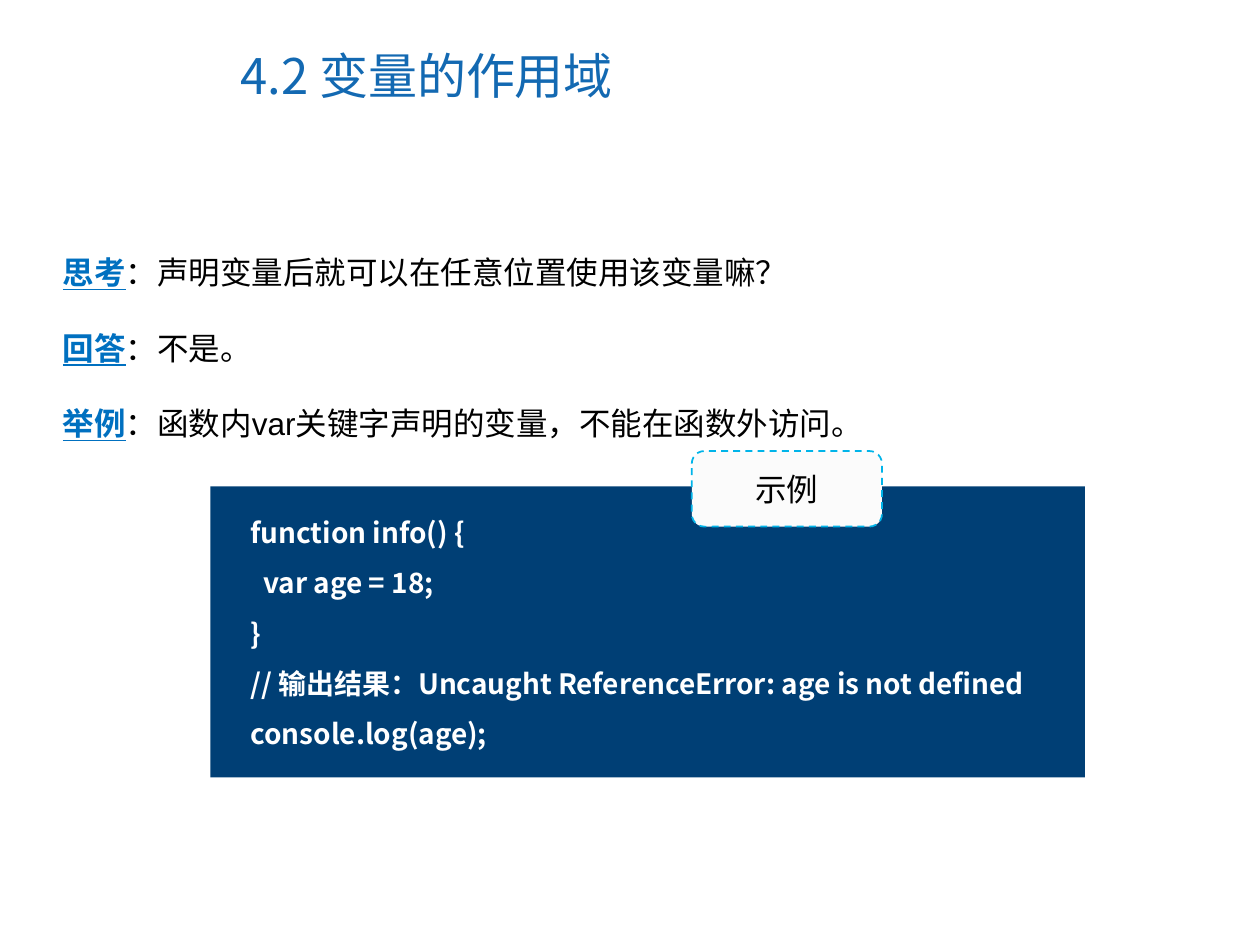
from dataclasses import dataclass

from lxml.etree import SubElement
from pptx import Presentation
from pptx.dml.color import RGBColor
from pptx.enum.dml import MSO_LINE_DASH_STYLE as Dash
from pptx.enum.shapes import MSO_SHAPE as Preset
from pptx.enum.text import MSO_ANCHOR as Anchor, PP_ALIGN as Align
from pptx.oxml.ns import qn
from pptx.util import Inches, Pt


@dataclass(frozen=True)
class Theme:
    title: str = "1369B2"
    keyword: str = "0070C0"
    ink: str = "000000"
    panel: str = "003F75"
    code: str = "FFFFFF"
    tag_fill: str = "FBFBFB"
    tag_line: str = "00B4E9"
    latin: str = "Arial"
    chinese: str = "Noto Sans CJK SC"
    title_size: int = 28
    body_size: int = 18
    code_size: int = 16


@dataclass(frozen=True)
class Box:
    left: float
    top: float
    width: float
    height: float

    def lengths(self) -> tuple:
        return tuple(map(Inches, (self.left, self.top, self.width, self.height)))


@dataclass(frozen=True)
class Point:
    keyword: str
    statement: str


THEME = Theme()

TITLE = "4.2 变量的作用域"
POINTS = (
    Point("思考", "：声明变量后就可以在任意位置使用该变量嘛？"),
    Point("回答", "：不是。"),
    Point("举例", "：函数内var关键字声明的变量，不能在函数外访问。"),
)
CODE = """function info() {
  var age = 18;
}
// 输出结果：Uncaught ReferenceError: age is not defined
console.log(age);"""


def style_run(run, size: int, color: str, latin: str, bold: bool = False, underline: bool = False) -> None:
    font = run.font
    font.size = Pt(size)
    font.bold = bold
    font.underline = underline
    font.color.rgb = RGBColor.from_string(color)
    font.name = latin
    SubElement(run._r.get_or_add_rPr(), qn("a:ea"), typeface=THEME.chinese)


def add_text_frame(slide, box: Box):
    frame = slide.shapes.add_textbox(*box.lengths()).text_frame
    frame.word_wrap = True
    return frame


def add_panel(slide, preset: Preset, box: Box, fill: str):
    panel = slide.shapes.add_shape(preset, *box.lengths())
    panel.shadow.inherit = False
    panel.fill.solid()
    panel.fill.fore_color.rgb = RGBColor.from_string(fill)
    panel.line.fill.background()
    return panel


def add_title(slide, box: Box) -> None:
    frame = add_text_frame(slide, box)
    frame.vertical_anchor = Anchor.MIDDLE
    frame.text = TITLE
    style_run(frame.paragraphs[0].runs[0], THEME.title_size, THEME.title, THEME.chinese)


def add_points(slide, box: Box) -> None:
    frame = add_text_frame(slide, box)
    frame.text = "\n".join(point.keyword for point in POINTS)
    for paragraph, point in zip(frame.paragraphs, POINTS):
        paragraph.line_spacing = 2.0
        style_run(paragraph.runs[0], THEME.body_size, THEME.keyword, THEME.latin, bold=True, underline=True)
        statement = paragraph.add_run()
        statement.text = point.statement
        style_run(statement, THEME.body_size, THEME.ink, THEME.latin)


def add_code(slide, panel_box: Box, code_box: Box) -> None:
    add_panel(slide, Preset.RECTANGLE, panel_box, THEME.panel)
    frame = add_text_frame(slide, code_box)
    frame.text = CODE
    for paragraph in frame.paragraphs:
        paragraph.line_spacing = 1.5
        style_run(paragraph.runs[0], THEME.code_size, THEME.code, THEME.chinese, bold=True)


def add_example_tag(slide, box: Box) -> None:
    tag = add_panel(slide, Preset.ROUNDED_RECTANGLE, box, THEME.tag_fill)
    tag.line.color.rgb = RGBColor.from_string(THEME.tag_line)
    tag.line.width = Pt(1)
    tag.line.dash_style = Dash.DASH
    frame = tag.text_frame
    frame.vertical_anchor = Anchor.MIDDLE
    frame.text = "示例"
    label = frame.paragraphs[0]
    label.alignment = Align.CENTER
    style_run(label.runs[0], THEME.body_size, THEME.ink, THEME.latin)


def main() -> None:
    deck = Presentation()
    deck.slide_width, deck.slide_height = Inches(10), Inches(7.5)
    slide = deck.slides.add_slide(deck.slide_layouts[6])
    add_title(slide, Box(1.81, 0.17, 5.16, 0.85))
    add_points(slide, Box(0.4, 1.66, 9.19, 1.9))
    add_code(slide, Box(1.67, 3.86, 6.94, 2.31), Box(1.89, 3.91, 6.81, 2.1))
    add_example_tag(slide, Box(5.49, 3.58, 1.51, 0.6))
    deck.save("out.pptx")


if __name__ == "__main__":
    main()
